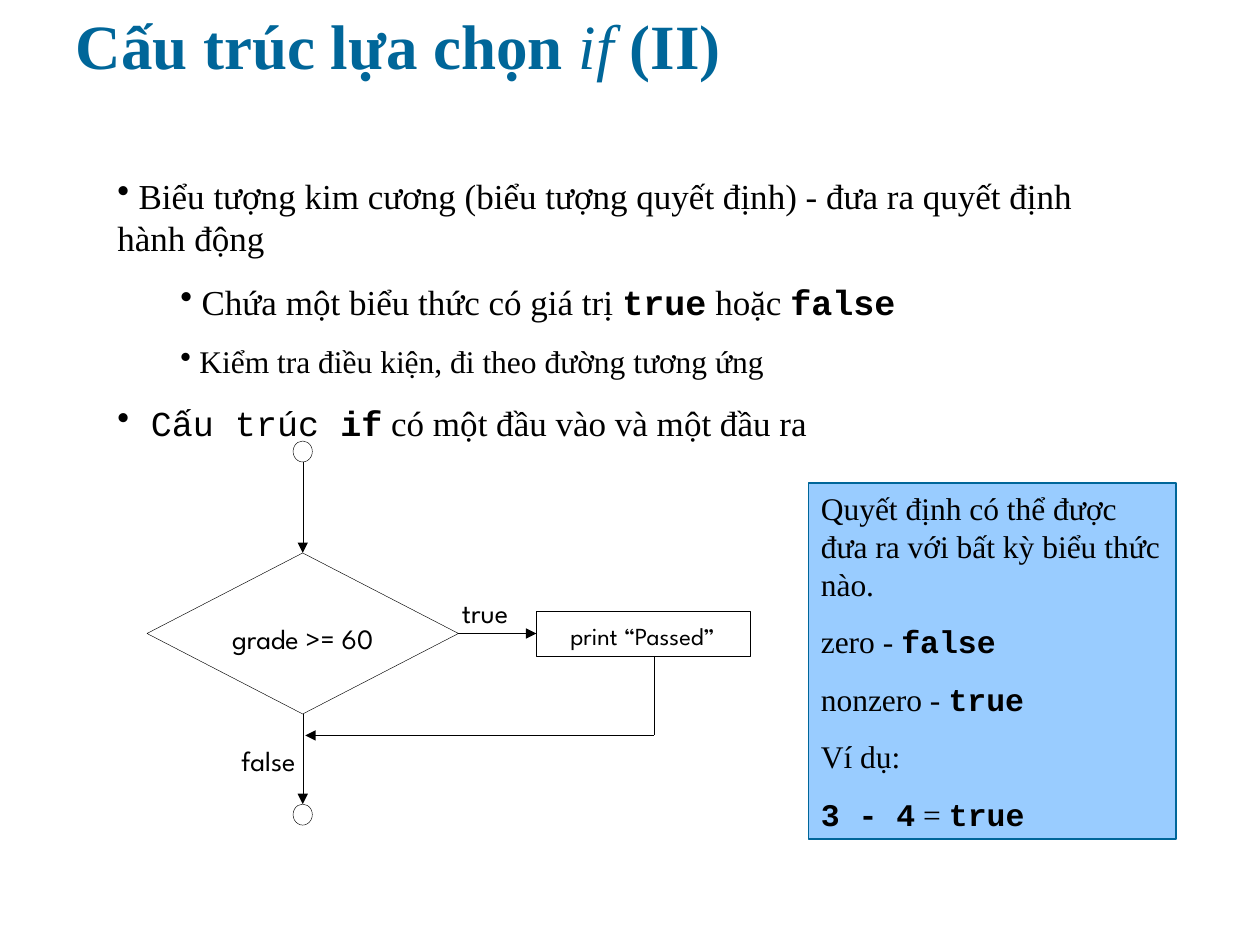
from pptx import Presentation
from pptx.dml.color import RGBColor
from pptx.enum.shapes import MSO_CONNECTOR, MSO_SHAPE
from pptx.enum.text import MSO_ANCHOR, MSO_AUTO_SIZE, PP_ALIGN
from pptx.oxml.ns import qn
from pptx.util import Pt
from lxml.etree import SubElement

BLACK = RGBColor(0x00, 0x00, 0x00)
WHITE = RGBColor(0xFF, 0xFF, 0xFF)
TEAL = RGBColor(0x00, 0x66, 0x99)
PALE_BLUE = RGBColor(0x99, 0xCC, 0xFF)
SERIF, MONO, LABEL = "Times New Roman", "Courier New", "League Spartan"
TOP, LEFT, BOTTOM, RIGHT = range(4)

prs = Presentation()
prs.slide_width, prs.slide_height = Pt(720), Pt(540)
s = prs.slides.add_slide(prs.slide_layouts[5])


def add_runs(p, runs, size, color=BLACK):
    """Add (text, font name, bold) runs to a paragraph."""
    for text, name, bold in runs:
        r = p.add_run()
        r.text = text
        style = {"name": name, "bold": bold, "size": Pt(size)}
        for key, value in style.items():
            setattr(r.font, key, value)
        r.font.color.rgb = color


def add_line(x1, y1, x2, y2, arrow=True):
    c = s.shapes.add_connector(MSO_CONNECTOR.STRAIGHT, Pt(x1), Pt(y1), Pt(x2), Pt(y2))
    c.line.color.rgb = BLACK
    c.line.width = Pt(0.25)
    if arrow:
        SubElement(c.line._get_or_add_ln(), qn("a:tailEnd"), type="triangle")
    SubElement(c._element.spPr, qn("a:effectLst"))
    return c


# Title
title = s.shapes.title
title.left, title.top, title.width, title.height = Pt(36), Pt(-24), Pt(649.5), Pt(104)
tf = title.text_frame
tf.auto_size = MSO_AUTO_SIZE.NONE
tf.vertical_anchor = MSO_ANCHOR.MIDDLE
p = tf.paragraphs[0]
p.alignment = PP_ALIGN.LEFT
p.line_spacing = 0.9
add_runs(p, [("Cấu trúc lựa chọn ", SERIF, True), ("if", SERIF, False),
             (" (II)", SERIF, True)], 36, TEAL)
p.runs[1].font.italic = True

# Flowchart shapes
CENTER_X, CENTER_Y = 173, 362
flow = {}
for name, kind, x, y, w, h in [
    ("start", MSO_SHAPE.OVAL, CENTER_X - 5.5, 252, 11, 12),
    ("end", MSO_SHAPE.OVAL, CENTER_X - 5.5, 459.5, 11, 12),
    ("decision", MSO_SHAPE.DIAMOND, CENTER_X - 89, CENTER_Y - 46, 178, 92),
    ("action", MSO_SHAPE.RECTANGLE, 306.5, CENTER_Y - 12.75, 122, 25.5),
]:
    sp = s.shapes.add_shape(kind, Pt(x), Pt(y), Pt(w), Pt(h))
    sp.shadow.inherit = False
    sp.fill.background()
    sp.line.color.rgb = BLACK
    sp.line.width = Pt(0.25)
    flow[name] = sp
flow["decision"].fill.solid()
flow["decision"].fill.fore_color.rgb = WHITE

# Flowchart lines
add_line(CENTER_X, 264, CENTER_X, 316).end_connect(flow["decision"], TOP)
add_line(CENTER_X, 408, CENTER_X, 459.5).begin_connect(flow["decision"], BOTTOM)
branch = add_line(262, CENTER_Y, 306.5, CENTER_Y)
branch.begin_connect(flow["decision"], RIGHT)
branch.end_connect(flow["action"], LEFT)
add_line(373.75, 374.75, 373.75, 420.25, arrow=False)
add_line(373.75, 420.25, 174.5, 420.25)

# Flowchart labels
for text, x, y, w, h, size, align in [
    ("true", 264, 340.5, 39, 25, 16, PP_ALIGN.LEFT),
    ("false", 138, 425, 47.5, 25, 16, PP_ALIGN.LEFT),
    ("grade >= 60", 123, 355, 100, 19.5, 16, PP_ALIGN.CENTER),
    ("print “Passed”", 314, 355, 106.5, 18, 14, PP_ALIGN.CENTER),
]:
    tf = s.shapes.add_textbox(Pt(x), Pt(y), Pt(w), Pt(h)).text_frame
    tf.word_wrap = True
    tf.margin_left = tf.margin_top = tf.margin_right = tf.margin_bottom = 0
    tf.paragraphs[0].alignment = align
    add_runs(tf.paragraphs[0], [(text, LABEL, False)], size)

# Bullets
bullets = [
    (0, 20, [(" Biểu tượng kim cương (biểu tượng quyết định) - đưa ra quyết định hành động",
              SERIF, False)]),
    (1, 20, [(" Chứa một biểu thức có giá trị ", SERIF, False), ("true", MONO, True),
             (" hoặc ", SERIF, False), ("false", MONO, True)]),
    (1, 18, [(" Kiểm tra điều kiện, đi theo đường tương ứng", SERIF, False)]),
    (0, 20, [(" ", MONO, True), ("Cấu trúc", MONO, False), (" if", MONO, True),
             (" có một đầu vào và một đầu ra", SERIF, False)]),
]
tf = s.shapes.add_textbox(Pt(60), Pt(96), Pt(588), Pt(161)).text_frame
tf.word_wrap = True
tf.auto_size = MSO_AUTO_SIZE.SHAPE_TO_FIT_TEXT
for i, (level, size, runs) in enumerate(bullets):
    p = tf.add_paragraph() if i else tf.paragraphs[0]
    p.level = level
    p.space_before = Pt(size * 0.625)
    pPr = p._p.get_or_add_pPr()
    pPr.set("marL", str(Pt(36 * level)))
    pPr.set("indent", "0")
    SubElement(pPr, qn("a:buChar"), char="•")
    add_runs(p, runs, size)

# Note
note = [
    [("Quyết định có thể được đưa ra với bất kỳ biểu thức nào.", SERIF, False)],
    [("zero - ", SERIF, False), ("false", MONO, True)],
    [("nonzero - ", SERIF, False), ("true", MONO, True)],
    [("Ví dụ:", SERIF, False)],
    [("3 - 4", MONO, True), (" = ", SERIF, False), ("true", MONO, True)],
]
sp = s.shapes.add_shape(MSO_SHAPE.RECTANGLE, Pt(462), Pt(276), Pt(210), Pt(203.5))
sp.shadow.inherit = False
sp.fill.solid()
sp.fill.fore_color.rgb = PALE_BLUE
sp.line.color.rgb = TEAL
sp.line.width = Pt(0.75)
tf = sp.text_frame
tf.word_wrap = True
tf.auto_size = MSO_AUTO_SIZE.SHAPE_TO_FIT_TEXT
tf.vertical_anchor = MSO_ANCHOR.TOP
for i, runs in enumerate(note):
    p = tf.add_paragraph() if i else tf.paragraphs[0]
    p.alignment = PP_ALIGN.LEFT
    p.space_before = Pt(11.25)
    add_runs(p, runs, 18)

prs.save("out.pptx")
